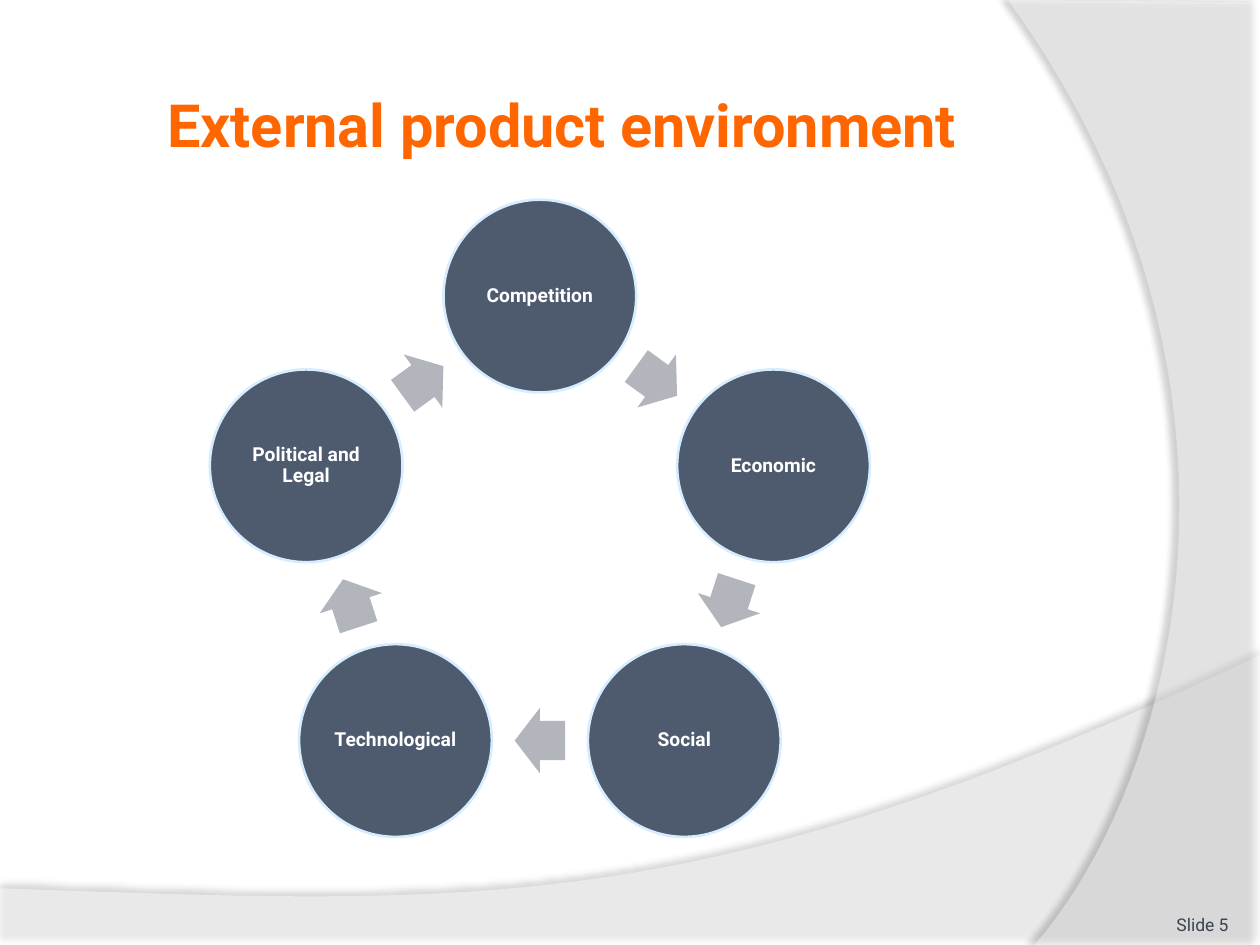
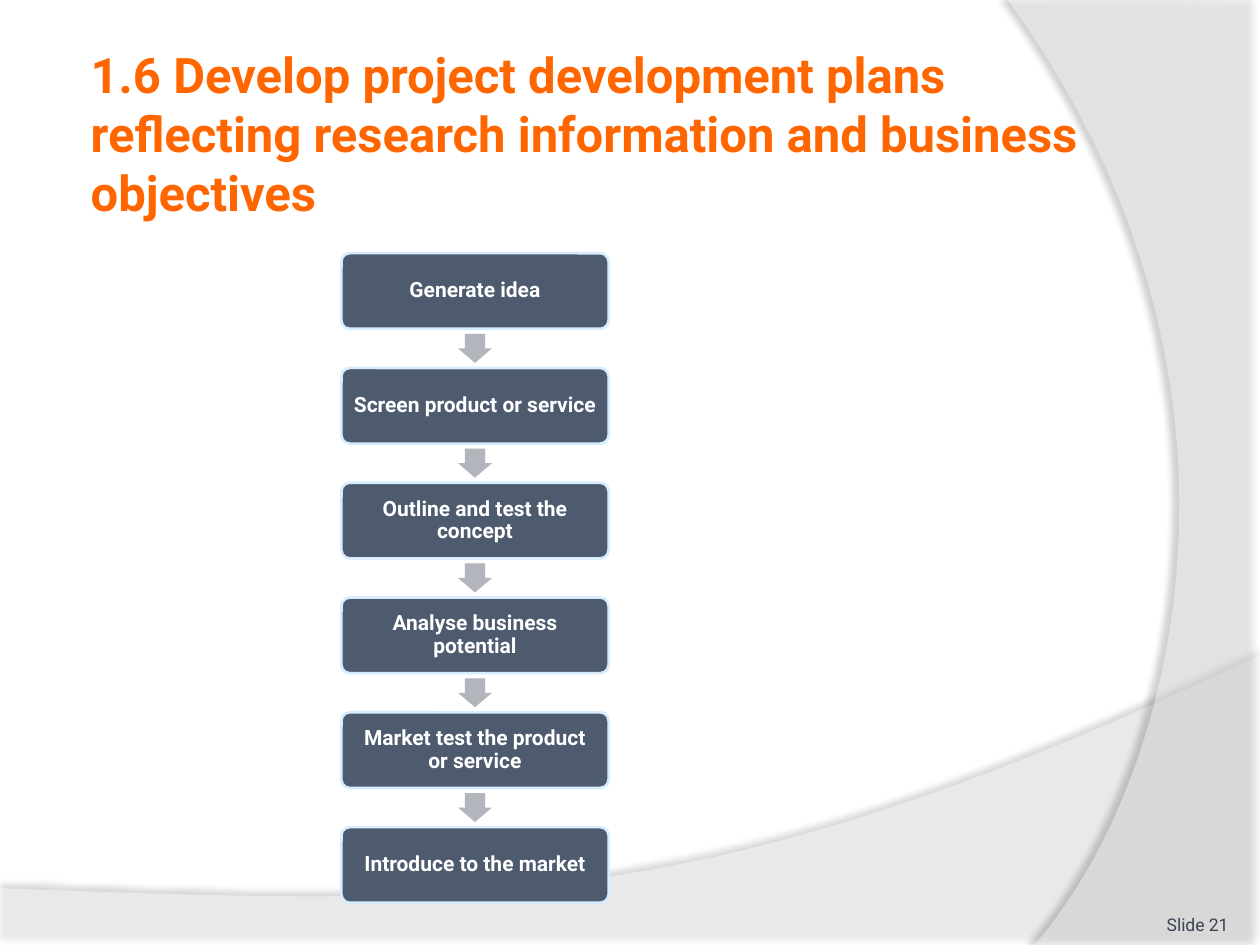
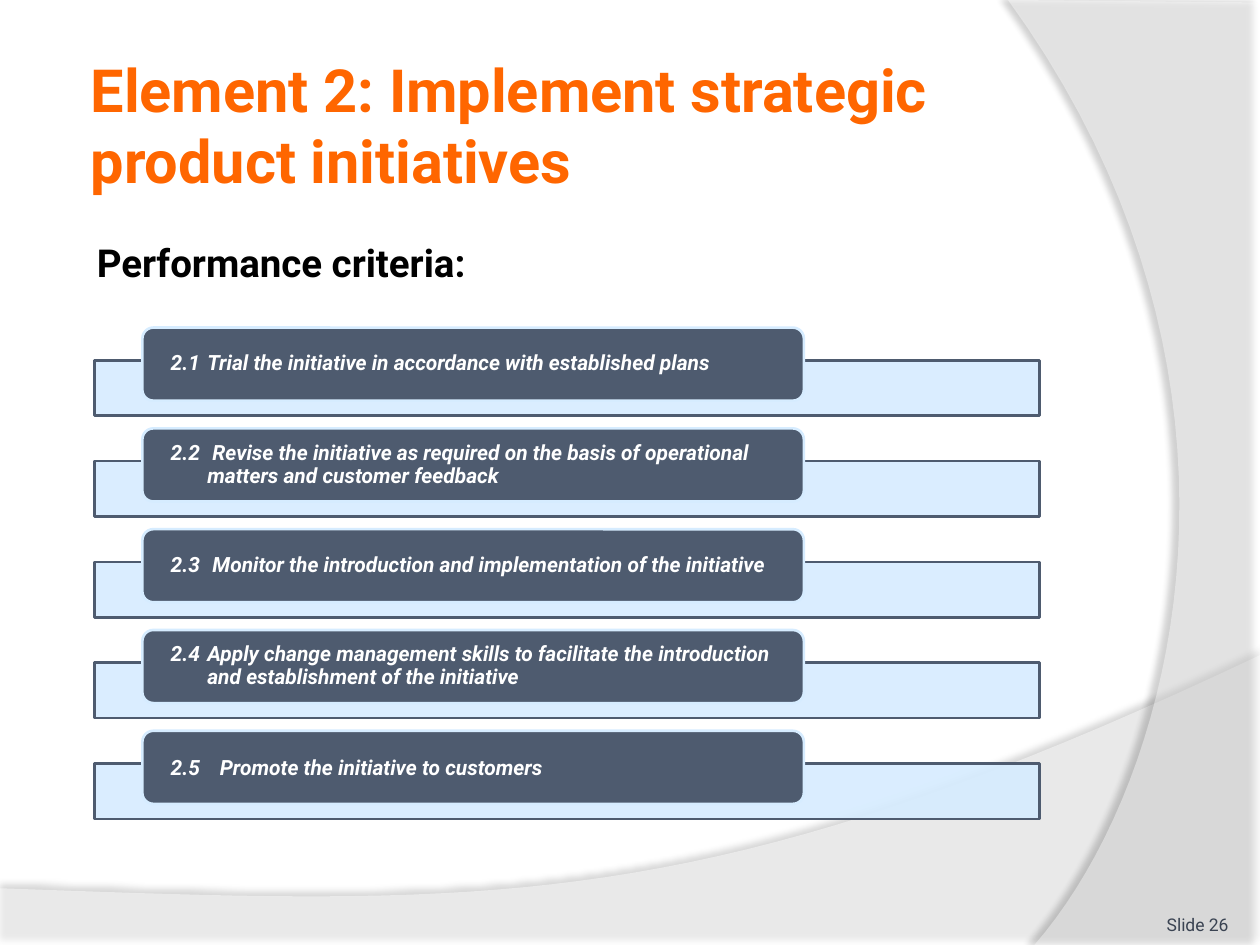
from dataclasses import dataclass
from math import cos, radians, sin
from lxml.etree import SubElement
from pptx import Presentation
from pptx.dml.color import RGBColor
from pptx.enum.shapes import MSO_SHAPE
from pptx.enum.text import MSO_ANCHOR, PP_ALIGN
from pptx.oxml.ns import qn
from pptx.shapes.autoshape import Shape
from pptx.slide import Slide
from pptx.util import Emu, Inches, Pt

WIDTH, HEIGHT = Inches(10), Inches(7.5)
COLUMNS = 100
CELL = WIDTH / COLUMNS
FONT = "Roboto"
ORANGE, SLATE, SKY, GREY = "FF6600", "4E5B6F", "D6ECFF", "B2B5BB"
WHITE, BLACK, INK = "FFFFFF", "000000", "3A4352"
Point = tuple[float, float]


@dataclass(frozen=True)
class Box:
    """A rectangle in grid columns and rows."""
    x: float
    y: float
    w: float
    h: float

    def emu(self) -> list[Emu]:
        """Return left, top, width and height for python-pptx."""
        return [cells(v) for v in (self.x, self.y, self.w, self.h)]


@dataclass(frozen=True)
class Style:
    """How the text of a shape looks; insets are in grid cells."""
    size: float
    color: str = WHITE
    bold: bool = True
    italic: bool = False
    align: PP_ALIGN = PP_ALIGN.CENTER
    anchor: MSO_ANCHOR = MSO_ANCHOR.MIDDLE
    inset: Point = (0.5, 0.5)
    spacing: float = 1
    hang: float = 0


@dataclass(frozen=True)
class Band:
    """A translucent background outline ending in one Bezier curve."""
    corners: tuple[Point, ...]
    curve: tuple[Point, Point, Point, Point]
    opacity: int
    shadow_opacity: int
    distance: float
    direction: int


@dataclass(frozen=True)
class Criterion:
    """A numbered performance criterion."""
    text: str
    hang: float = 2.9
    spacing: float = 0.9


BANDS = (
    Band(((0, 75), (100, 75)), ((100, 52), (55.9, 72.9), (39.1, 71.9), (0, 70.5)),
         45, 35, 3.5, 270),
    Band(((100, 0.2), (100, 75)), ((82.1, 75), (93.5, 61.9), (101.8, 30), (80, 0)),
         40, 45, 4, 180),
)
FORCES = ("Competition", "Economic", "Social", "Technological", "Political and Legal")
STEPS = ("Generate idea", "Screen product or service", "Outline and test the concept",
         "Analyse business potential", "Market test the product or service",
         "Introduce to the market")
CRITERIA = (
    Criterion("2.1\tTrial the initiative in accordance with established plans"),
    Criterion("2.2\t Revise the initiative as required on the basis of operational "
              "matters and customer feedback"),
    Criterion("2.3\t Monitor the introduction and implementation of the initiative"),
    Criterion("2.4\tApply change management skills to facilitate the introduction "
              "and establishment of the initiative"),
    Criterion("2.5\tPromote the initiative to customers", 3.9, 1),
)


def cells(n: float) -> Emu:
    """Convert grid cells to a length."""
    return Emu(round(n * CELL))


def rgb(color: str) -> RGBColor:
    """Turn a hex string into a colour."""
    return RGBColor.from_string(color)


def paint(sp: Shape, fill: str, line: str | None = None, opacity: int = 100) -> None:
    """Set fill, outline and opacity, and drop the theme shadow."""
    sp.shadow.inherit = False
    sp.fill.solid()
    sp.fill.fore_color.rgb = rgb(fill)
    if opacity < 100:
        clr = sp._element.spPr.find(qn("a:solidFill")).find(qn("a:srgbClr"))
        SubElement(clr, qn("a:alpha"), val=str(opacity * 1000))
    if line:
        sp.line.color.rgb = rgb(line)
        sp.line.width = Pt(1.5)
    else:
        sp.line.fill.background()


def write(sp: Shape, text: str, style: Style) -> None:
    """Put one formatted paragraph into a shape."""
    tf = sp.text_frame
    tf.word_wrap = True
    tf.vertical_anchor = style.anchor
    tf.margin_left = tf.margin_right = cells(style.inset[0])
    tf.margin_top = tf.margin_bottom = cells(style.inset[1])
    p = tf.paragraphs[0]
    p.text = text
    p.alignment = style.align
    p.line_spacing = style.spacing
    if style.hang:
        pPr = p._p.get_or_add_pPr()
        pPr.set("marL", str(cells(style.hang)))
        pPr.set("indent", str(-cells(style.hang)))
    for r in p.runs:
        r.font.name = FONT
        r.font.size = Pt(style.size)
        r.font.bold = style.bold
        r.font.italic = style.italic
        r.font.color.rgb = rgb(style.color)


def add_text(s: Slide, box: Box, text: str, style: Style) -> None:
    """Add a text box."""
    write(s.shapes.add_textbox(*box.emu()), text, style)


def add_node(s: Slide, kind: MSO_SHAPE, box: Box, text: str, style: Style,
             corner: float | None = None) -> None:
    """Add a slate shape with a pale outline and a label."""
    sp = s.shapes.add_shape(kind, *box.emu())
    if corner is not None:
        sp.adjustments[0] = corner
    paint(sp, SLATE, SKY)
    write(sp, text, style)


def add_arrow(s: Slide, kind: MSO_SHAPE, box: Box, rotation: float = 0) -> None:
    """Add a grey block arrow."""
    sp = s.shapes.add_shape(kind, *box.emu())
    sp.adjustments[0], sp.adjustments[1] = 0.6, 0.5
    sp.rotation = rotation
    paint(sp, GREY)


def bezier(curve: tuple[Point, Point, Point, Point], t: float) -> Point:
    """Return the point of a cubic Bezier curve at t."""
    u = 1 - t
    weights = (u ** 3, 3 * u * u * t, 3 * u * t * t, t ** 3)
    return (sum(k * x for k, (x, _) in zip(weights, curve)),
            sum(k * y for k, (_, y) in zip(weights, curve)))


def add_band(s: Slide, band: Band, segments: int = 40) -> None:
    """Draw a curved background band with its soft shadow."""
    outline = [*band.corners, *(bezier(band.curve, i / segments) for i in range(segments + 1))]
    points = [(cells(x), cells(y)) for x, y in outline]
    builder = s.shapes.build_freeform(*points[0])
    builder.add_line_segments(points[1:])
    sp = builder.convert_to_shape()
    paint(sp, WHITE, opacity=band.opacity)
    effects = sp._element.spPr.find(qn("a:effectLst"))
    shadow = SubElement(effects, qn("a:outerShdw"), blurRad=str(Pt(4)),
                        dist=str(Pt(band.distance)), dir=str(band.direction * 60000),
                        algn="ctr", rotWithShape="0")
    clr = SubElement(shadow, qn("a:srgbClr"), val=BLACK)
    SubElement(clr, qn("a:alpha"), val=str(band.shadow_opacity * 1000))


def add_page(prs: Presentation, number: int, title: str, box: Box, size: float,
             align: PP_ALIGN = PP_ALIGN.LEFT) -> Slide:
    """Add a slide with bands, title and slide number."""
    s = prs.slides.add_slide(prs.slide_layouts[6])
    for band in BANDS:
        add_band(s, band)
    add_text(s, box, title, Style(size, ORANGE, align=align))
    add_text(s, Box(89.2, 70.2, 8.3, 4), f"Slide {number}",
             Style(10, INK, bold=False, align=PP_ALIGN.RIGHT,
                   anchor=MSO_ANCHOR.BOTTOM, inset=(0, 0)))
    return s


def build_environment(prs: Presentation) -> None:
    """Build the cycle of external forces."""
    s = add_page(prs, 5, "External product environment", Box(6.7, 3.6, 75.8, 12.5),
                 34, PP_ALIGN.CENTER)
    cx, cy, radius, diameter = 42.85, 43, 19.5, 15.3
    arrow_w, arrow_h = 4, 5.2
    step = 360 / len(FORCES)
    label = Style(11, inset=(0.2, 0.2), spacing=0.9)
    for i, force in enumerate(FORCES):
        angle = radians(i * step)
        x, y = cx + radius * sin(angle), cy - radius * cos(angle)
        add_node(s, MSO_SHAPE.OVAL,
                 Box(x - diameter / 2, y - diameter / 2, diameter, diameter), force, label)
        turn = (i + 0.5) * step
        reach = radius * cos(radians(step / 2))
        x, y = cx + reach * sin(radians(turn)), cy - reach * cos(radians(turn))
        add_arrow(s, MSO_SHAPE.RIGHT_ARROW,
                  Box(x - arrow_w / 2, y - arrow_h / 2, arrow_w, arrow_h), turn)


def build_plan(prs: Presentation) -> None:
    """Build the column of development steps."""
    s = add_page(prs, 21, "1.6 Develop project development plans reflecting research "
                 "information and business objectives", Box(6.7, 3.6, 81.7, 13.9), 28)
    left, top, w, h, pitch = 27.1, 20.1, 21.2, 6, 9.11
    arrow_w, arrow_h = 2.7, 2.3
    label = Style(12, inset=(0.7, 0.7), spacing=0.9)
    for i, step in enumerate(STEPS):
        y = top + i * pitch
        add_node(s, MSO_SHAPE.ROUNDED_RECTANGLE, Box(left, y, w, h), step, label, 0.11)
        if i < len(STEPS) - 1:
            gap = (pitch - h - arrow_h) / 2
            add_arrow(s, MSO_SHAPE.DOWN_ARROW,
                      Box(left + (w - arrow_w) / 2, y + h + gap, arrow_w, arrow_h))


def build_criteria(prs: Presentation) -> None:
    """Build the list of performance criteria."""
    s = add_page(prs, 26, "Element 2: Implement strategic product initiatives",
                 Box(6.7, 3.6, 81.7, 12.5), 34)
    add_text(s, Box(6.7, 18.5, 81.7, 5), "Performance criteria:",
             Style(22, BLACK, align=PP_ALIGN.LEFT, anchor=MSO_ANCHOR.TOP, inset=(1, 0.5)))
    for i, item in enumerate(CRITERIA):
        y = 26 + i * 8
        bar = s.shapes.add_shape(MSO_SHAPE.RECTANGLE, *Box(7.5, y + 2.6, 75, 4.4).emu())
        paint(bar, SKY, SLATE, 90)
        add_node(s, MSO_SHAPE.ROUNDED_RECTANGLE, Box(11.3, y, 52.5, 5.8), item.text,
                 Style(12, italic=True, align=PP_ALIGN.LEFT, inset=(2, 0.2),
                       spacing=item.spacing, hang=item.hang), 0.15)


def main() -> None:
    """Build the deck."""
    prs = Presentation()
    prs.slide_width, prs.slide_height = WIDTH, HEIGHT
    build_environment(prs)
    build_plan(prs)
    build_criteria(prs)
    prs.save("out.pptx")


if __name__ == "__main__":
    main()
